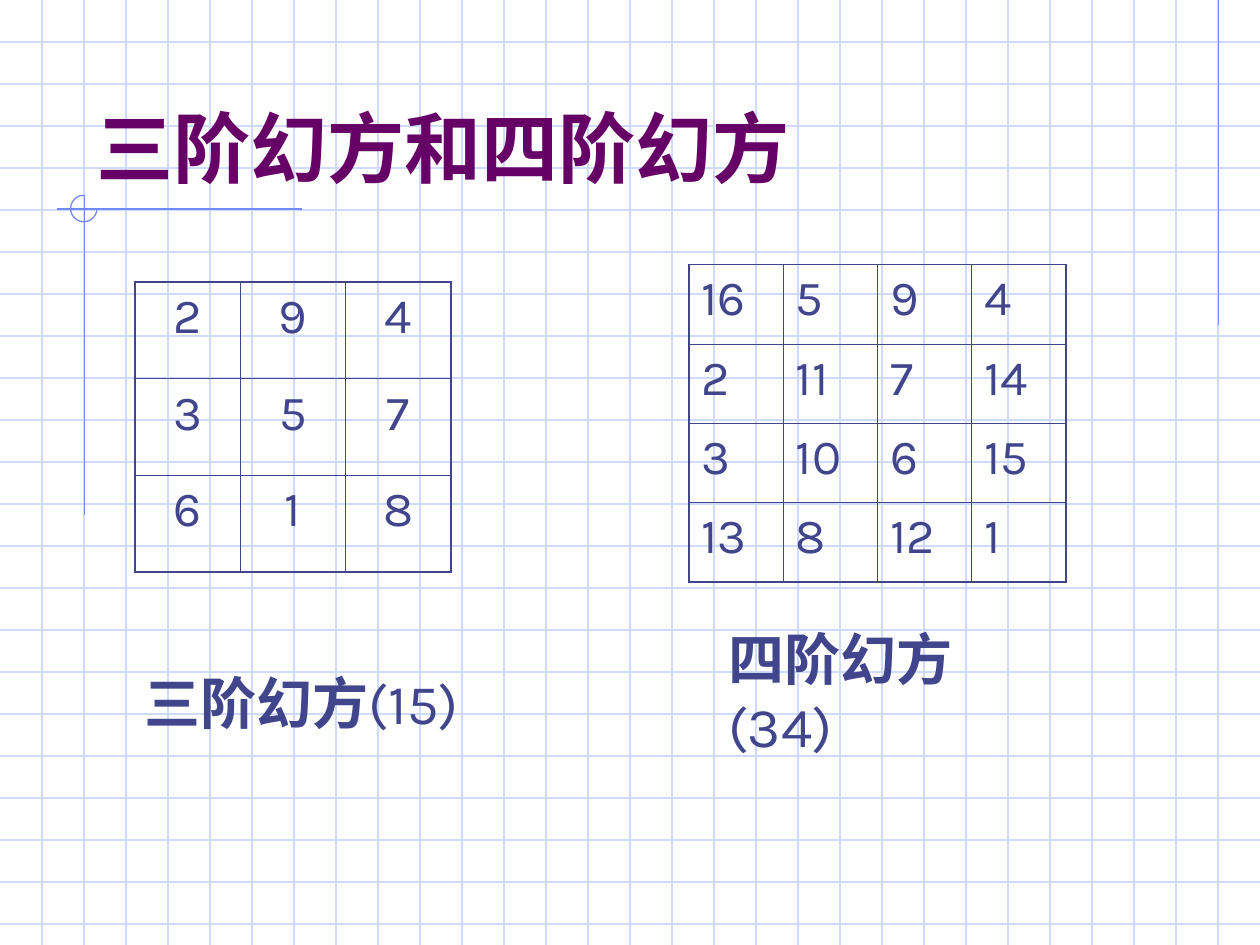
from lxml.etree import SubElement
from pptx import Presentation
from pptx.dml.color import RGBColor
from pptx.enum.shapes import MSO_CONNECTOR, MSO_SHAPE
from pptx.enum.text import MSO_ANCHOR, PP_ALIGN
from pptx.oxml.ns import qn
from pptx.util import Inches, Pt

FONT = "Karla"
GRID = RGBColor(0xCF, 0xDB, 0xFD)
ACCENT = RGBColor(0x6F, 0x89, 0xF7)
INK = RGBColor(0x40, 0x45, 0x8C)
PURPLE = RGBColor(0x66, 0x00, 0x66)

WIDTH, HEIGHT = 10, 7.5
STEP = 1 / 3
OUTER, INNER = 1.08, 0.45

ORDER_3 = [[2, 9, 4], [3, 5, 7], [6, 1, 8]]
ORDER_4 = [[16, 5, 9, 4], [2, 11, 7, 14], [3, 10, 6, 15], [13, 8, 12, 1]]


def add_line(s, x1, y1, x2, y2, color):
    line = s.shapes.add_connector(
        MSO_CONNECTOR.STRAIGHT, Inches(x1), Inches(y1), Inches(x2), Inches(y2))
    line.line.color.rgb = color
    line.line.width = Pt(0.75)
    SubElement(line._element.spPr, qn("a:effectLst"))


def add_grid(s):
    for i in range(1, 23):
        add_line(s, 0, i * STEP, WIDTH, i * STEP, GRID)
    for i in range(1, 30):
        add_line(s, i * STEP, 0, i * STEP, HEIGHT, GRID)


def add_ornament(s):
    add_line(s, 9.67, 0, 9.67, 2.58, ACCENT)
    add_line(s, 2.4, 1.66, 0.45, 1.66, ACCENT)
    add_line(s, 0.67, 1.55, 0.67, 4.09, ACCENT)
    arc = s.shapes.add_shape(
        MSO_SHAPE.ARC, Inches(0.56), Inches(1.55), Inches(0.21), Inches(0.21))
    arc.adjustments[0] = 0
    arc.adjustments[1] = 162
    arc.fill.background()
    arc.line.color.rgb = ACCENT
    arc.line.width = Pt(0.75)
    arc.shadow.inherit = False


def add_run(p, text, size, color, bold=False):
    r = p.add_run()
    r.text = text
    r.font.name = FONT
    r.font.size = Pt(size)
    r.font.bold = bold
    r.font.color.rgb = color


def add_text(s, x, y, w, h, runs, size, color, anchor, right=0.1):
    tf = s.shapes.add_textbox(Inches(x), Inches(y), Inches(w), Inches(h)).text_frame
    tf.word_wrap = True
    tf.vertical_anchor = anchor
    tf.margin_right = Inches(right)
    for text, bold in runs:
        add_run(tf.paragraphs[0], text, size, color, bold)


def set_border(cell, side, width):
    ln = SubElement(cell._tc.get_or_add_tcPr(), qn(f"a:ln{side}"), w=str(Pt(width)))
    fill = SubElement(ln, qn("a:solidFill"))
    SubElement(fill, qn("a:srgbClr"), val=str(INK))


def add_magic_square(s, x, y, w, h, numbers, align):
    n = len(numbers)
    table = s.shapes.add_table(
        n, n, Inches(x), Inches(y), Inches(w), Inches(h)).table
    table.first_row = False
    table.horz_banding = False
    for i, row in enumerate(numbers):
        for j, number in enumerate(row):
            cell = table.cell(i, j)
            edges = {"L": j == 0, "R": j == n - 1, "T": i == 0, "B": i == n - 1}
            for side, outer in edges.items():
                set_border(cell, side, OUTER if outer else INNER)
            cell.fill.background()
            p = cell.text_frame.paragraphs[0]
            p.alignment = align
            add_run(p, str(number), 28, INK)


def main():
    prs = Presentation()
    prs.slide_width, prs.slide_height = Inches(WIDTH), Inches(HEIGHT)
    s = prs.slides.add_slide(prs.slide_layouts[6])
    add_grid(s)
    add_ornament(s)
    add_magic_square(s, 1.07, 2.24, 2.51, 2.3, ORDER_3, PP_ALIGN.CENTER)
    add_magic_square(s, 5.47, 2.1, 2.99, 2.52, ORDER_4, PP_ALIGN.LEFT)
    add_text(s, 1.05, 5.25, 2.98, 0.64, [("三阶幻方", True), ("(15)", False)],
             32, INK, MSO_ANCHOR.MIDDLE)
    add_text(s, 5.68, 5.17, 2.86, 0.64, [("四阶幻方", True), ("(34)", False)],
             32, INK, MSO_ANCHOR.MIDDLE, right=0.6)
    add_text(s, 0.67, 0.33, 8.5, 1.25, [("三阶幻方和四阶幻方", True)],
             44, PURPLE, MSO_ANCHOR.BOTTOM)
    prs.save("out.pptx")


if __name__ == "__main__":
    main()
